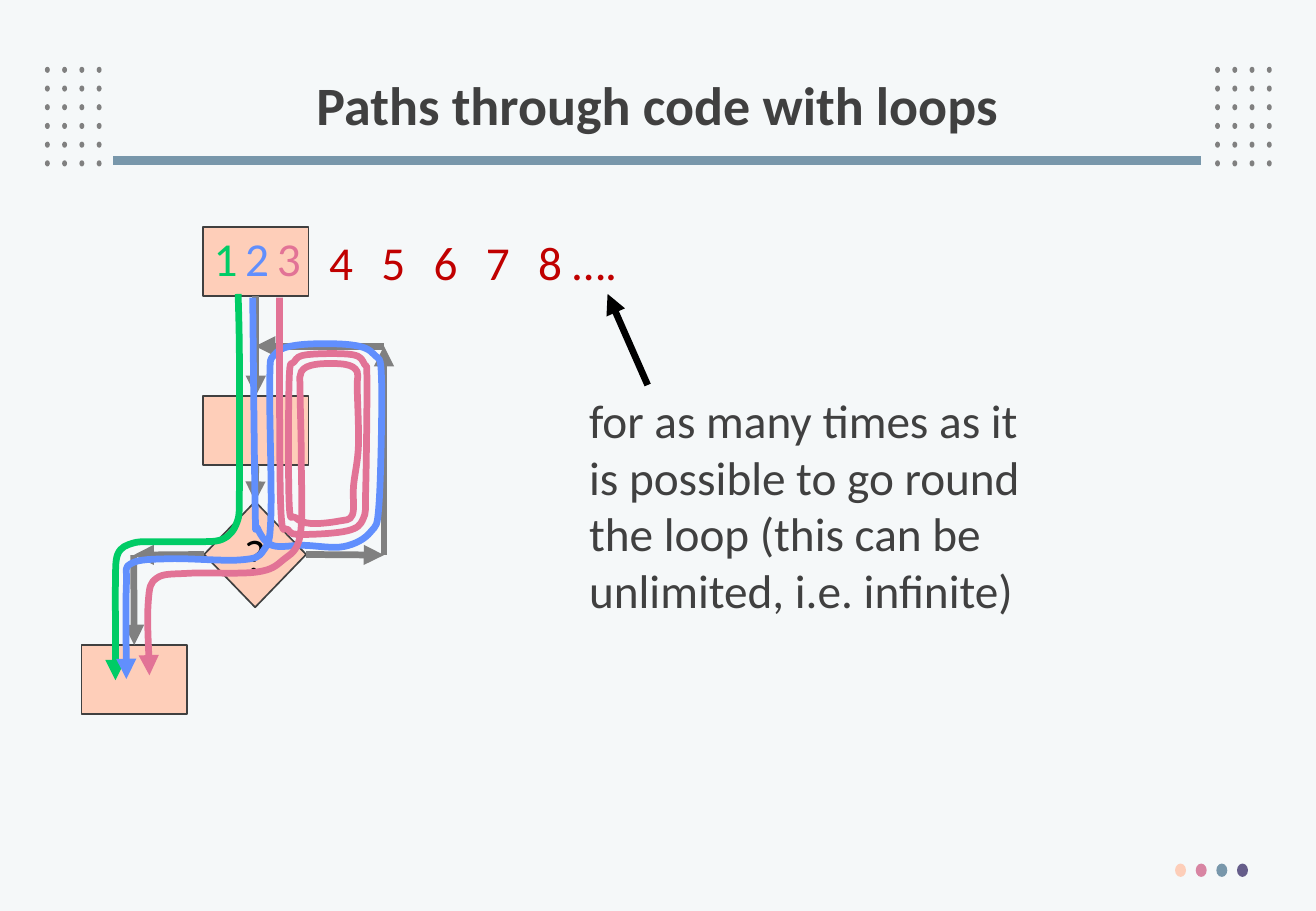
from dataclasses import dataclass

from lxml.etree import SubElement
from pptx import Presentation
from pptx.dml.color import RGBColor
from pptx.enum.shapes import MSO_CONNECTOR, MSO_SHAPE
from pptx.enum.text import MSO_ANCHOR, MSO_AUTO_SIZE, PP_ALIGN
from pptx.oxml.ns import qn
from pptx.util import Inches, Pt


@dataclass(frozen=True)
class Theme:
    """Colours, font and sizes of the slide."""
    font: str = "Calibri"
    title_size: int = 32
    body_size: int = 28
    flow_width: float = 4
    rule_width: float = 5.25
    back: str = "F5F8F9"
    ink: str = "404040"
    black: str = "000000"
    grey: str = "808080"
    rule: str = "7897AB"
    block: str = "FECEB9"
    more: str = "C00000"
    routes: tuple = ("00CC66", "618FFD", "E27396")
    footer: tuple = ("FDCEB9", "D885A3", "7897AB", "655D8A")


T = Theme()

ROUTES = (
    ((1.46, .92), (1.47, 1.43), (1.47, 2.53), (1.45, 2.8), (1.33, 2.94), (1.09, 2.96),
     (.82, 2.96), (.6, 2.97), (.47, 3.06), (.45, 3.31), (.45, 3.63), (.45, 4.1)),
    ((1.58, .95), (1.6, 2.67), (1.62, 2.85), (1.74, 2.99), (2, 2.99), (2.33, 3),
     (2.55, 2.88), (2.62, 2.64), (2.64, 1.62), (2.58, 1.42), (2.39, 1.34), (1.96, 1.34),
     (1.76, 1.42), (1.72, 1.64), (1.73, 2.74), (1.67, 3.03), (1.48, 3.11), (.9, 3.1),
     (.58, 3.14), (.54, 3.32), (.54, 4.09)),
    ((1.8, .95), (1.81, 2.65), (1.87, 2.86), (1.99, 2.9), (2.36, 2.87), (2.49, 2.77),
     (2.51, 2.53), (2.52, 1.63), (2.5, 1.5), (2.4, 1.42), (2.03, 1.42), (1.92, 1.48),
     (1.88, 1.63), (1.88, 2.64), (1.93, 2.76), (2.06, 2.81), (2.29, 2.79), (2.4, 2.74),
     (2.41, 2.5), (2.45, 2.17), (2.44, 1.69), (2.44, 1.56), (2.34, 1.5), (2.1, 1.5),
     (1.98, 1.56), (1.97, 1.72), (1.98, 2.29), (1.97, 2.91), (1.83, 3.11), (1.61, 3.21),
     (1.05, 3.22), (.79, 3.26), (.72, 3.46), (.73, 4.06)),
)


def rgb(code):
    """Return the colour for a hex code."""
    return RGBColor.from_string(code)


def write(tf, text, size=T.body_size, color=T.ink, bold=False, align=PP_ALIGN.LEFT, spacing=None):
    """Fill a text frame with one paragraph per line of text."""
    for i, line in enumerate(text.split("\n")):
        p = tf.add_paragraph() if i else tf.paragraphs[0]
        p.alignment, p.line_spacing = align, spacing
        r = p.add_run()
        r.text = line
        r.font.name, r.font.size, r.font.bold = T.font, Pt(size), bold
        r.font.color.rgb = rgb(color)


def label(s, text, x, y, w, h, **style):
    """Add a text box that does not wrap."""
    tf = s.shapes.add_textbox(Inches(x), Inches(y), Inches(w), Inches(h)).text_frame
    tf.word_wrap = False
    tf.auto_size = MSO_AUTO_SIZE.SHAPE_TO_FIT_TEXT
    write(tf, text, **style)


def block(s, kind, x, y, w, h, fill=T.block, outline=None):
    """Add a filled preset shape without a shadow."""
    sp = s.shapes.add_shape(kind, Inches(x), Inches(y), Inches(w), Inches(h))
    sp.shadow.inherit = False
    sp.fill.solid()
    sp.fill.fore_color.rgb = rgb(fill)
    if outline:
        sp.line.color.rgb, sp.line.width = rgb(outline), Pt(1)
    else:
        sp.line.fill.background()
    return sp


def stroke(sp, color, width, arrow=True):
    """Format a line and give it an arrowhead if wanted."""
    sp.line.color.rgb, sp.line.width = rgb(color), Pt(width)
    if arrow:
        SubElement(sp.line._get_or_add_ln(), qn("a:tailEnd"), type="triangle")


def connect(s, start, end, color=T.grey, width=T.flow_width, arrow=True, begin=None, finish=None):
    """Draw a straight line, joined to (shape, side) pairs where given."""
    c = s.shapes.add_connector(MSO_CONNECTOR.STRAIGHT, *map(Inches, start + end))
    if begin:
        c.begin_connect(*begin)
    if finish:
        c.end_connect(*finish)
    stroke(c, color, width, arrow)
    SubElement(c._element.spPr, qn("a:effectLst"))


def curve(s, points, color):
    """Draw a smooth arrow through the points."""
    pts = [(Inches(x), Inches(y)) for x, y in points]
    fb = s.shapes.build_freeform(*pts[0])
    fb.add_line_segments(pts[1:], close=False)
    sp = fb.convert_to_shape()
    sp.shadow.inherit = False
    sp.fill.background()
    stroke(sp, color, T.flow_width)
    knots = [(px - sp.left, py - sp.top) for px, py in pts]
    knots = [knots[0], *knots, knots[-1]]
    for i, seg in enumerate(sp._element.xpath(".//a:lnTo")):
        a, b, c, d = knots[i:i + 4]
        controls = ([b[k] + (c[k] - a[k]) / 6 for k in (0, 1)],
                    [c[k] - (d[k] - b[k]) / 6 for k in (0, 1)], c)
        bez = SubElement(seg.getparent(), qn("a:cubicBezTo"))
        for px, py in controls:
            SubElement(bez, qn("a:pt"), x=str(round(px)), y=str(round(py)))
        seg.getparent().replace(seg, bez)


def dot_grid(s, x, y):
    """Place a grid of small dots, four wide and six high."""
    for i in range(24):
        block(s, MSO_SHAPE.OVAL, x + i % 4 * .142, y + i // 4 * .154, .04, .05, T.grey)


def header(s, x, y, w, h):
    """Place the title, its rule and the dots at both sides."""
    dot_grid(s, x - .37, y + .15)
    dot_grid(s, x + w - .08, y + .15)
    connect(s, (x + w - .2, y + .92), (x + .19, y + .92), T.rule, T.rule_width, arrow=False)
    title = s.shapes.title
    title.left, title.top, title.width, title.height = map(Inches, (x, y, w, h))
    title.text_frame.vertical_anchor = MSO_ANCHOR.MIDDLE
    write(title.text_frame, "Paths through code with loops", size=T.title_size, bold=True,
          align=PP_ALIGN.CENTER, spacing=.9)


def flowchart(s, x, y):
    """Place the loop flowchart, its three routes and the path numbers."""
    start, body, leave = (block(s, MSO_SHAPE.RECTANGLE, x + dx, y + dy, .87, .57, outline=T.ink)
                          for dx, dy in ((1.17, .37), (1.17, 1.76), (.17, 3.81)))
    test = block(s, MSO_SHAPE.DIAMOND, x + 1.18, y + 2.63, .84, .87, outline=T.ink)
    test.text_frame.word_wrap = False
    test.text_frame.vertical_anchor = MSO_ANCHOR.MIDDLE
    write(test.text_frame, "?", color=T.black, align=PP_ALIGN.CENTER)

    mid, loop, out = x + 1.6, x + 2.66, x + .6
    top, base = y + 1.35, y + 3.07
    connect(s, (mid, y + .94), (mid, y + 1.76), begin=(start, 2), finish=(body, 0))
    connect(s, (mid, y + 2.33), (mid, y + 2.63), begin=(body, 2), finish=(test, 0))
    connect(s, (x + 2.02, base), (loop, base), begin=(test, 3))
    connect(s, (loop, base), (loop, top))
    connect(s, (loop, top), (mid, top))
    connect(s, (x + 1.18, base), (out, base), begin=(test, 1))
    connect(s, (out, base), (out, y + 3.81), finish=(leave, 0))

    for i, (points, color) in enumerate(zip(ROUTES, T.routes)):
        curve(s, [(x + dx, y + dy) for dx, dy in points], color)
        label(s, str(i + 1), x + 1.16 + .26 * i, y + .34, .4, .57, color=color)
    for i, text in enumerate(("4", "5", "6", "7", "8 ….")):
        label(s, text, x + 2.11 + .43 * i, y + .37, .86 if i == 4 else .4, .57, color=T.more)


def remark(s, x, y, w, h):
    """Place the remark on repeated loops and its arrow."""
    label(s, "for as many times as it\nis possible to go round\n"
          "the loop (this can be\nunlimited, i.e. infinite)", x, y, w, h)
    connect(s, (x + .58, y), (x + .25, y - .75), T.black)


def footer(s, x, y):
    """Place the row of coloured dots."""
    for i, color in enumerate(T.footer):
        block(s, MSO_SHAPE.OVAL, x + .17 * i, y, .09, .11, color)


def main():
    """Build and save the slide."""
    prs = Presentation()
    prs.slide_width, prs.slide_height = Inches(10.83), Inches(7.5)
    s = prs.slides.add_slide(prs.slide_layouts[5])
    s.background.fill.solid()
    s.background.fill.fore_color.rgb = rgb(T.back)
    header(s, .74, .4, 9.34, .98)
    flowchart(s, .5, 1.5)
    remark(s, 4.75, 3.17, 3.8, 1.99)
    footer(s, 9.67, 7.11)
    prs.save("out.pptx")


if __name__ == "__main__":
    main()
